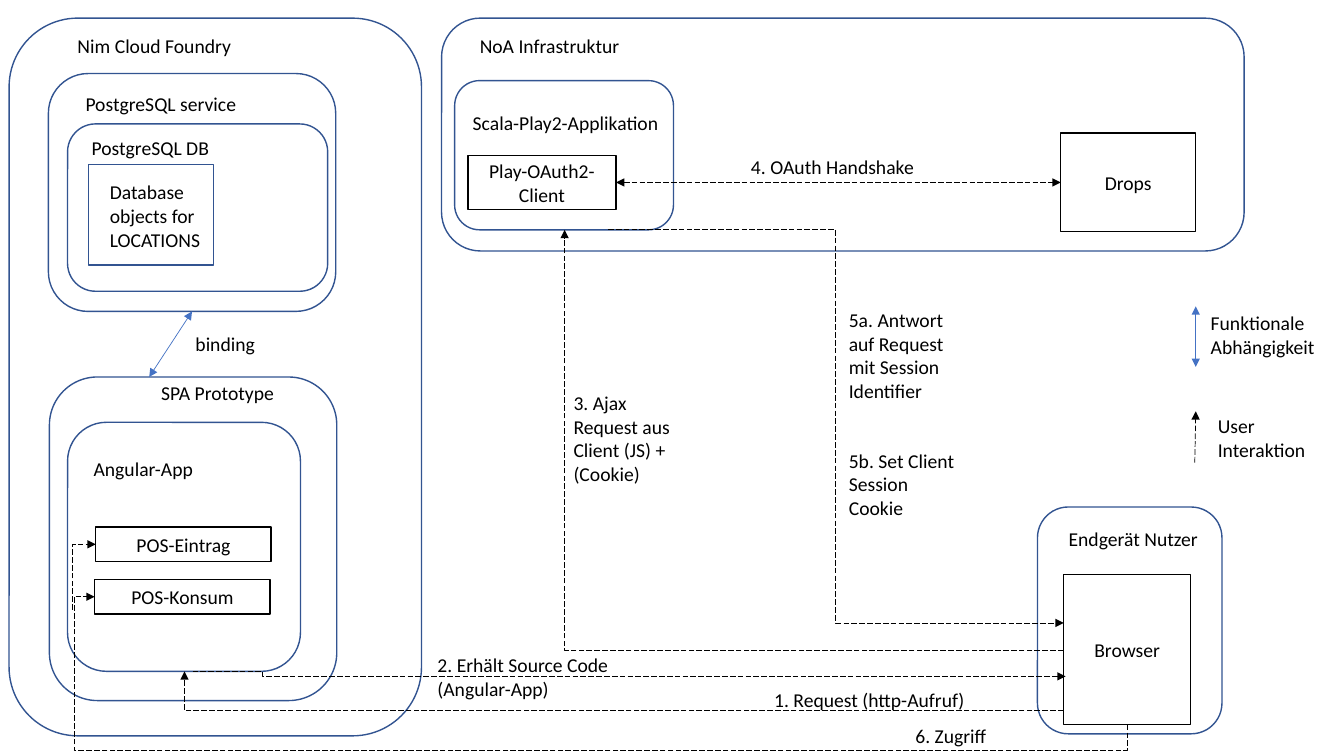
import pptx
import pptx.util
import pptx.dml.color
import pptx.enum.dml
import pptx.enum.shapes
import pptx.enum.text
import pptx.oxml

COLORS = {"frame": "325491", "link": "4472C4", "ink": "000000"}
CELL = 0.1  # inches per grid column and row
ROW = 3.4  # rows of a one-line label
KIND = pptx.enum.shapes.MSO_SHAPE
WIRE = pptx.enum.shapes.MSO_CONNECTOR
NS = 'xmlns:a="http://schemas.openxmlformats.org/drawingml/2006/main"'

deck = pptx.Presentation()
deck.slide_width = pptx.util.Inches(13.33)
deck.slide_height = pptx.util.Inches(7.5)
slide = deck.slides.add_slide(deck.slide_layouts[6])


def grid(*cells):
    return [pptx.util.Inches(cell * CELL) for cell in cells]


def tint(name):
    return pptx.dml.color.RGBColor.from_string(COLORS[name])


def within(box, x, y, w, h):
    return box[0] + x, box[1] + y, w, h


def write(shape, text, size=14, color="ink", align=None, anchor=None):
    frame = shape.text_frame
    frame.word_wrap = True
    frame.vertical_anchor = anchor
    part = frame.paragraphs[0]
    part.alignment = align
    run = part.add_run()
    run.text = text
    run.font.name = "Calibri"
    run.font.size = pptx.util.Pt(size)
    run.font.color.rgb = tint(color)


def label(box, x, y, w, text, h=ROW):
    shape = slide.shapes.add_textbox(*grid(*within(box, x, y, w, h)))
    write(shape, text)
    shape.text_frame.auto_size = pptx.enum.text.MSO_AUTO_SIZE.SHAPE_TO_FIT_TEXT


def panel(box, kind=KIND.ROUNDED_RECTANGLE, color="frame"):
    shape = slide.shapes.add_shape(kind, *grid(*box))
    shape.shadow.inherit = False
    shape.fill.background()
    shape.line.color.rgb = tint(color)
    shape.line.width = pptx.util.Pt(1)
    return shape


def node(box, text):
    shape = panel(box, KIND.RECTANGLE, "ink")
    write(shape, text, align=pptx.enum.text.PP_ALIGN.CENTER,
          anchor=pptx.enum.text.MSO_ANCHOR.MIDDLE)
    return shape


def arrow(start, end, color="ink", dash=True, both=False, kind=WIRE.STRAIGHT):
    wire = slide.shapes.add_connector(kind, *grid(*start, *end))
    wire.line.color.rgb = tint(color)
    wire.line.width = pptx.util.Pt(0.5)
    if dash:
        wire.line.dash_style = pptx.enum.dml.MSO_LINE.LONG_DASH
    line = wire.line._get_or_add_ln()
    for tip in (["headEnd"] if both else []) + ["tailEnd"]:
        line.append(pptx.oxml.parse_xml(f'<a:{tip} {NS} type="triangle"/>'))
    wire._element.spPr.append(pptx.oxml.parse_xml(f"<a:effectLst {NS}/>"))
    return wire


def bend(start, end, legs, turn=0, flip="", shares=()):
    """Elbow arrow; legs counts its segments, shares place the inner ones."""
    wire = arrow(start, end, kind=WIRE.ELBOW)
    wide, high = abs(end[0] - start[0]), abs(end[1] - start[1])
    if turn == 90:
        wide, high = high, wide
    left = (start[0] + end[0] - wide) / 2
    top = (start[1] + end[1] - high) / 2
    wire.left, wire.top, wire.width, wire.height = grid(left, top, wide, high)
    frame = wire._element.spPr.find(pptx.oxml.ns.qn("a:xfrm"))
    frame.set("rot", str(turn * 60000))
    for axis in "HV":
        frame.set("flip" + axis, str(int(axis.lower() in flip)))
    shape = wire._element.spPr.find(pptx.oxml.ns.qn("a:prstGeom"))
    shape.set("prst", f"bentConnector{legs}")
    guides = shape.get_or_add_avLst()
    for place, share in enumerate(shares, 1):
        guides.append(pptx.oxml.parse_xml(
            f'<a:gd {NS} name="adj{place}" fmla="val {round(share * 100000)}"/>'))


def store(box):
    # Database service with its nested database
    shape = panel(box)
    label(box, 2.7, 1.3, 17.3, "PostgreSQL service")
    base = within(box, 1.9, 5, 25.8, 16.6)
    panel(base)
    label(base, 1.4, 0.7, 14.2, "PostgreSQL DB")
    items = within(base, 2.1, 4, 12.4, 10)
    panel(items, KIND.RECTANGLE)
    label(items, 1.1, 1.1, 11.8, "Database objects for LOCATIONS", 8.1)
    return shape


def proto(box):
    # Prototype with the app and its two pages
    panel(box)
    label(box, 10.1, -0.1, 15.7, "SPA Prototype")
    app = within(box, 1.8, 4.5, 23.1, 24.7)
    panel(app)
    label(app, 1.6, 2.9, 20.7, "Angular-App")
    node(within(app, 2.8, 10.4, 17.4, ROW), "POS-Eintrag")
    node(within(app, 2.7, 15.6, 17.4, ROW), "POS-Konsum")


def cloud(box):
    panel(box)
    label(box, 5.8, 1.1, 21.1, "Nim Cloud Foundry")
    service = store(within(box, 3.9, 5.5, 28.5, 23.6))
    proto(within(box, 4, 35.6, 28.5, 32.1))
    # Binding between service and prototype
    wire = arrow((box[0] + 18.2, box[1] + 29.1), (box[0] + 13.9, box[1] + 35.6),
                 "link", dash=False, both=True)
    wire.begin_connect(service, 2)
    label(box, 17.5, 30.6, 9.5, "binding")


def infra(box):
    panel(box)
    label(box, 2.8, 1.1, 35.2, "NoA Infrastruktur")
    app = within(box, 1.3, 6.2, 21.7, 14.8)
    panel(app)
    label(app, 0.8, 2.5, 24, "Scala-Play2-Applikation")
    client = node(within(app, 1.3, 7.4, 14.7, 5.4), "Play-OAuth2-Client")
    drops = node(within(box, 61.4, 11.4, 13.4, 9.8), "Drops")
    # Handshake between client and identity service
    wire = arrow((box[0] + 17.3, box[1] + 16.3), (box[0] + 61.4, box[1] + 16.3),
                 both=True)
    wire.begin_connect(client, 3)
    wire.end_connect(drops, 1)
    label(box, 29.7, 13.1, 24.2, "4. OAuth Handshake")


def device(box):
    panel(box)
    label(box, 2.1, 1.5, 15.2, "Endgerät Nutzer")
    node(within(box, 2.6, 6.7, 12.6, 14.9), "Browser")


def legend(box):
    x, y = box[:2]
    arrow((x + 0.1, y), (x + 0.1, y + 6), "link", dash=False, both=True)
    label(box, 0.6, 0, 13, "Funktionale Abhängigkeit", 5.7)
    arrow((x, y + 15.5), (x + 0.1, y + 10.4))
    label(box, 1.3, 10.2, 13, "User Interaktion", 5.7)


def flows(box):
    # Numbered user interactions across the regions
    bends = [
        ((105.5, 70.5), (18.3, 66.6), 2, 180, "", ()),
        ((19.1, 66.6), (105.7, 67.1), 3, 0, "", (0.08,)),
        ((105.5, 64.5), (56, 22.8), 2, 180, "", ()),
        ((60.3, 22.8), (105.5, 61.8), 3, 0, "", (0.5,)),
        ((111.8, 71.9), (9.4, 59.2), 4, 90, "h", (-0.2, 1.02)),
        ((7.2, 60.5), (9.5, 54), 2, 90, "hv", ()),
    ]
    for start, end, *form in bends:
        bend(within(box, *start, 0, 0)[:2], within(box, *end, 0, 0)[:2], *form)
    notes = [
        (75.8, 67.8, 24.5, "1. Request (http-Aufruf)", ROW),
        (42.4, 64.3, 24.2, "2. Erhält Source Code (Angular-App)", 5.7),
        (55.9, 38.3, 12.6, "3. Ajax Request aus Client (JS) + (Cookie)", 10.4),
        (83.2, 30.1, 13.1, "5a. Antwort auf Request mit Session Identifier", 10.4),
        (83.2, 44, 13.1, "5b. Set Client Session Cookie", 8.1),
        (89.8, 71.3, 24.5, "6. Zugriff", ROW),
    ]
    for note in notes:
        label(box, *note)


cloud((0.9, 1.8, 40.9, 71.2))
infra((43.8, 1.8, 79.6, 23.1))
device((102.9, 50.3, 18.3, 22.5))
legend((118.5, 30.4, 14.3, 15.9))
flows((0, 0, 133.3, 75))
deck.save("out.pptx")
